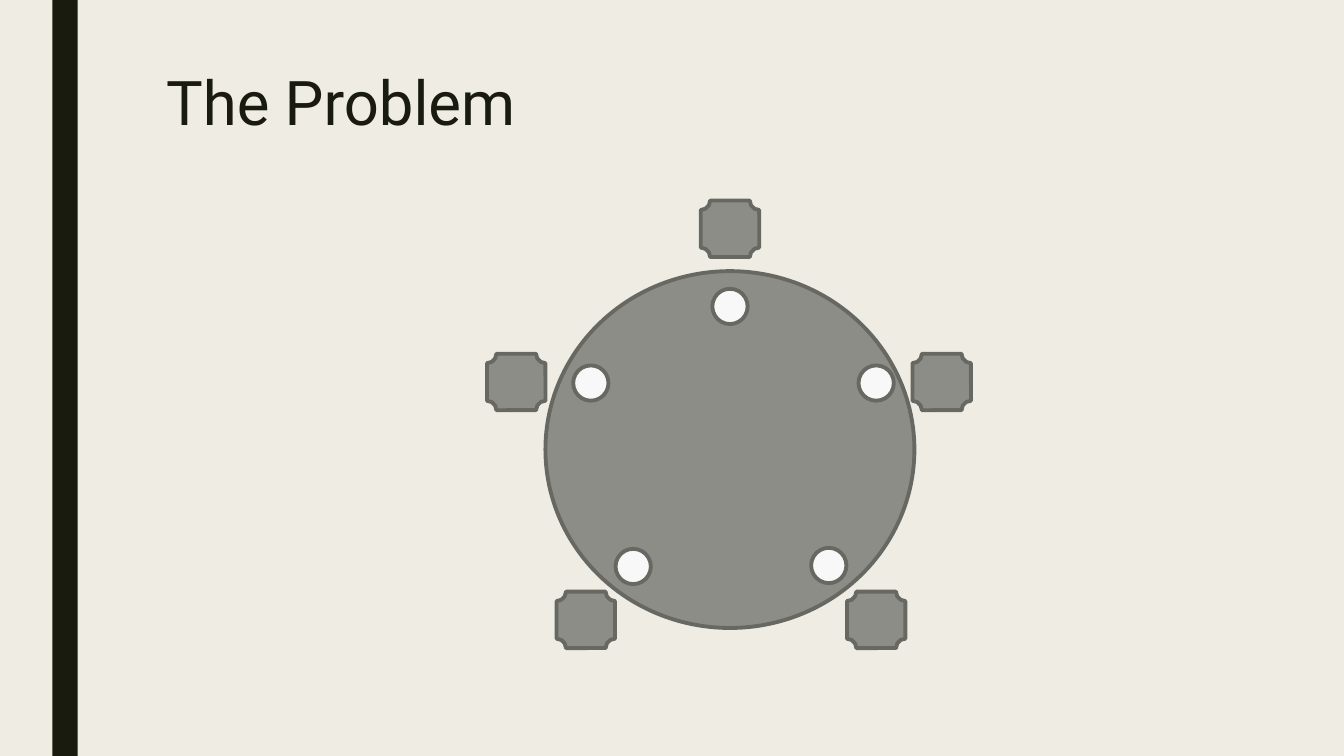
"""Draw the dining table with five seats and five plates."""
from pptx import Presentation
from pptx.dml.color import RGBColor
from pptx.enum.shapes import MSO_SHAPE
from pptx.enum.text import MSO_ANCHOR, PP_ALIGN
from pptx.util import Inches, Pt

TITLE = "The Problem"
WIDTH, HEIGHT = 13.33, 7.5
PAPER, INK, WOOD, EDGE, CHINA = "EFEDE3", "191B0E", "8C8D86", "686863", "F8F8F8"
TABLE_CENTRE = (7.24, 4.46)
TABLE_SIZE, SEAT_SIZE, PLATE_SIZE = (3.66, 3.54), (0.58, 0.56), (0.35, 0.35)
SEAT_OFFSETS = [(2.1, -0.67), (0, -2.19), (1.45, 1.69), (-2.12, -0.67), (-1.43, 1.69)]
PLATE_OFFSETS = [(0, -1.42), (1.45, -0.66), (-0.96, 1.16), (0.98, 1.15), (-1.38, -0.66)]


def colour(value):
    return RGBColor.from_string(value)


def add_solid(slide, kind, box, fill, edge=None):
    shape = slide.shapes.add_shape(kind, *map(Inches, box))
    shape.shadow.inherit = False
    shape.fill.solid()
    shape.fill.fore_color.rgb = colour(fill)
    if edge:
        shape.line.color.rgb = colour(edge)
        shape.line.width = Pt(2.75)
    else:
        shape.line.fill.background()


def add_text(slide, text, box, *, size, color, font="Roboto", spacing=1.0):
    frame = slide.shapes.add_textbox(*map(Inches, box)).text_frame
    frame.word_wrap = True
    frame.vertical_anchor = MSO_ANCHOR.TOP
    paragraph = frame.paragraphs[0]
    paragraph.alignment = PP_ALIGN.LEFT
    paragraph.line_spacing = spacing
    run = paragraph.add_run()
    run.text = text
    run.font.name, run.font.size = font, Pt(size)
    run.font.color.rgb = colour(color)


def place_around(slide, kind, offsets, size, fill):
    for offset in offsets:
        corner = [c + o - s / 2 for c, o, s in zip(TABLE_CENTRE, offset, size)]
        add_solid(slide, kind, (*corner, *size), fill, EDGE)


def main():
    deck = Presentation()
    deck.slide_width, deck.slide_height = Inches(WIDTH), Inches(HEIGHT)
    slide = deck.slides.add_slide(deck.slide_layouts[6])
    slide.background.fill.solid()
    slide.background.fill.fore_color.rgb = colour(PAPER)

    add_solid(slide, MSO_SHAPE.RECTANGLE, (0.52, 0, 0.25, HEIGHT), INK)
    add_text(slide, TITLE, (1.55, 0.67, 10.5, 1.62), size=44, color=INK, spacing=0.89)
    place_around(slide, MSO_SHAPE.OVAL, [(0, 0)], TABLE_SIZE, WOOD)
    place_around(slide, MSO_SHAPE.PLAQUE, SEAT_OFFSETS, SEAT_SIZE, WOOD)
    place_around(slide, MSO_SHAPE.OVAL, PLATE_OFFSETS, PLATE_SIZE, CHINA)
    deck.save("out.pptx")


if __name__ == "__main__":
    main()
